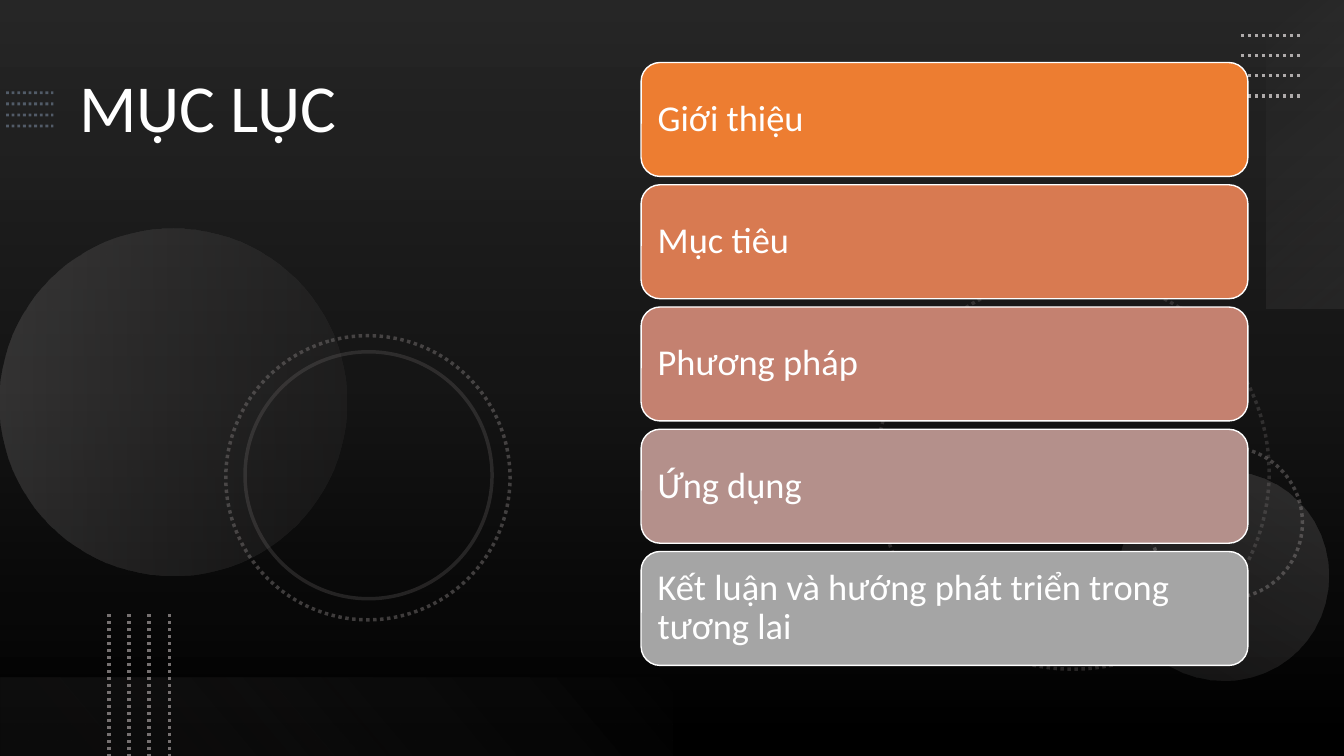
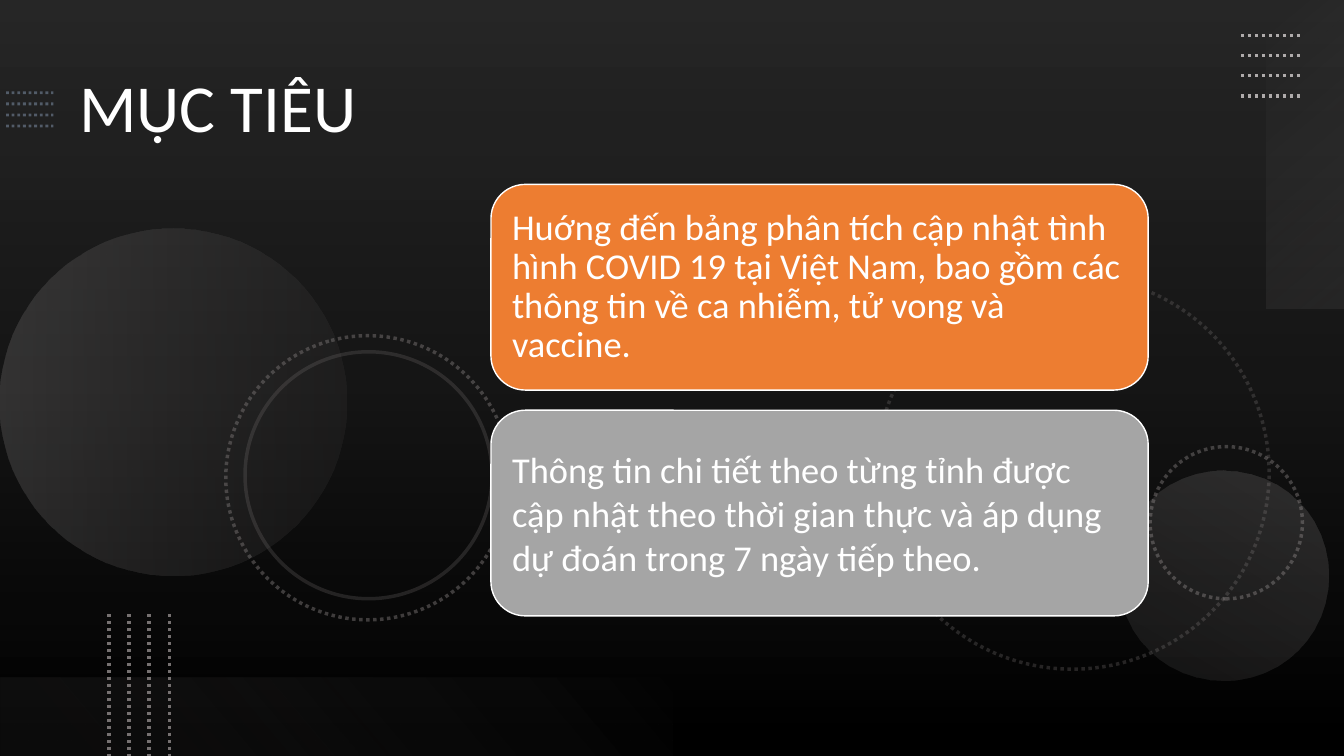
from lxml import etree
from pptx import Presentation
from pptx.dml.color import RGBColor
from pptx.enum.dml import MSO_LINE
from pptx.enum.shapes import MSO_CONNECTOR, MSO_SHAPE
from pptx.enum.text import MSO_ANCHOR, PP_ALIGN
from pptx.oxml.ns import qn
from pptx.util import Inches, Pt

deck = Presentation()
deck.slide_width, deck.slide_height = Inches(13.33), Inches(7.5)
# Grid: 100 columns by 100 rows
COL, ROW = deck.slide_width / 100, deck.slide_height / 100

FONT = "Calibri"
WHITE, BLACK, ORANGE, SILVER = "FFFFFF", "000000", "ED7D31", "A5A5A5"
GREY, LIGHT_GREY, SLATE = "767171", "AFABAB", "8497B0"


def paint(props, *stops, angle=0):
    """Replace a solid fill by (position, colour, opacity) stops; one stop stays solid."""
    old = props.find(qn("a:solidFill"))
    fill = etree.Element(qn("a:gradFill" if len(stops) > 1 else "a:solidFill"))
    parent = fill
    if len(stops) > 1:
        fill.set("rotWithShape", "1")
        parent = etree.SubElement(fill, qn("a:gsLst"))
    for position, colour, opacity in stops:
        holder = parent
        if len(stops) > 1:
            holder = etree.SubElement(parent, qn("a:gs"), pos=str(position * 1000))
        tint = etree.SubElement(holder, qn("a:srgbClr"), val=colour)
        if opacity < 100:
            etree.SubElement(tint, qn("a:alpha"), val=str(opacity * 1000))
    if len(stops) > 1:
        etree.SubElement(fill, qn("a:lin"), ang=str(angle * 60000), scaled="0")
    props.replace(old, fill)


def add_block(slide, kind, box, stops=(), angle=0, turn=0, edge=None):
    """Add a shape on the grid; edge is (colour, opacity, width, dotted)."""
    left, top, width, height = box
    block = slide.shapes.add_shape(
        kind, round(left * COL), round(top * ROW), round(width * COL), round(height * ROW))
    block.shadow.inherit = False
    block.rotation = turn
    if stops:
        block.fill.solid()
        paint(block.element.spPr, *stops, angle=angle)
    else:
        block.fill.background()
    if edge:
        colour, opacity, points, dotted = edge
        block.line.fill.solid()
        block.line.width = Pt(points)
        if dotted:
            block.line.dash_style = MSO_LINE.ROUND_DOT
        paint(block.element.spPr.find(qn("a:ln")), (0, colour, opacity))
    else:
        block.line.fill.background()
    return block


# Circles: left, top, diameter in columns, rotation, gradient, edge
circles = [
    (65.18, 36.53, 29.25, 75, (), (GREY, 30, 2.5, True)),
    (85.58, 59.07, 11.33, 270, (), (GREY, 50, 2.5, True)),
    (0, 30.27, 25.8, 270, ((0, LIGHT_GREY, 20), (100, GREY, 10)), None),
    (83.25, 62.27, 15.6, 210, ((0, LIGHT_GREY, 10), (100, LIGHT_GREY, 20)), None),
    (16.8, 44.4, 21.15, 75, (), (GREY, 50, 2.5, True)),
    (18.23, 46.53, 18.38, 75, (), (GREY, 25, 2.5, False)),
]

# Dotted rules, four to a group: first line, step to the next, colour, opacity, width
dotted_rules = [
    ((0.45, 12.27, 3.98, 12.27), (0, 1.47), SLATE, 50, 2),
    ((92.33, 4.67, 96.83, 4.67), (0, 2.67), LIGHT_GREY, 100, 2.5),
    ((8.1, 81.2, 8.1, 100), (1.5, 0), GREY, 100, 2.5),
]

# Slides: title, first panel, pitch in rows, panels as (text, colour, line spacing)
slides = [
    ("MỤC LỤC", (47.7, 8.27, 45.15, 15.07), 16.17, [
        ("Giới thiệu", ORANGE, 0.9),
        ("Mục tiêu", "D87A51", 0.9),
        ("Phương pháp", "C48170", 0.9),
        ("Ứng dụng", "B4908B", 0.9),
        ("Kết luận và hướng phát triển trong tương lai", SILVER, 0.9),
    ]),
    ("MỤC TIÊU", (36.53, 24.4, 48.9, 27.2), 29.87, [
        ("Huớng đến bảng phân tích cập nhật tình hình COVID 19 tại Việt Nam, "
         "bao gồm các thông tin về ca nhiễm, tử vong và vaccine.", ORANGE, 0.9),
        ("Thông tin chi tiết theo từng tỉnh được cập nhật theo thời gian thực "
         "và áp dụng dự đoán trong 7 ngày tiếp theo.", SILVER, 1.0),
    ]),
]

for title, (left, top, width, height), pitch, panels in slides:
    slide = deck.slides.add_slide(deck.slide_layouts[6])

    # Background and dark veil
    slide.background.fill.solid()
    paint(slide.element.find(".//" + qn("p:bgPr")),
          (0, "515151", 100), (50, "2E2E2E", 100), (100, BLACK, 100), angle=90)
    add_block(slide, MSO_SHAPE.RECTANGLE, (0, 0, 100, 100), [(0, BLACK, 53)])

    # Circles
    for x, y, diameter, turn, stops, edge in circles:
        add_block(slide, MSO_SHAPE.OVAL, (x, y, diameter, diameter * COL / ROW),
                  stops, 90, turn, edge)

    # Corner bands
    add_block(slide, MSO_SHAPE.RECTANGLE, (85.65, 15.2, 22.95, 10.4),
              [(0, "F5F5F5", 0), (100, LIGHT_GREY, 10)], 140, 270)
    add_block(slide, MSO_SHAPE.RECTANGLE, (0, 89.6, 50, 10.4),
              [(10, GREY, 10), (100, "F1F0F0", 0)], 140, 180)

    # Dotted rules
    for (x1, y1, x2, y2), (dx, dy), colour, opacity, points in dotted_rules:
        for i in range(4):
            rule = slide.shapes.add_connector(
                MSO_CONNECTOR.STRAIGHT,
                round((x1 + i * dx) * COL), round((y1 + i * dy) * ROW),
                round((x2 + i * dx) * COL), round((y2 + i * dy) * ROW))
            rule.line.fill.solid()
            rule.line.width = Pt(points)
            rule.line.dash_style = MSO_LINE.ROUND_DOT
            paint(rule.element.spPr.find(qn("a:ln")), (0, colour, opacity))
            etree.SubElement(rule.element.spPr, qn("a:effectLst"))

    # Title
    heading = slide.shapes.add_textbox(
        round(5.18 * COL), round(9.2 * ROW), round(40.58 * COL), round(80.4 * ROW))
    heading.text_frame.text = title
    written = [(heading, 48, 0.9)]

    # Panels
    for i, (text, colour, spacing) in enumerate(panels):
        panel = add_block(slide, MSO_SHAPE.ROUNDED_RECTANGLE,
                          (left, top + i * pitch, width, height),
                          [(0, colour, 100)], edge=(WHITE, 100, 1, False))
        frame = panel.text_frame
        frame.text = text
        frame.vertical_anchor = MSO_ANCHOR.MIDDLE
        frame.margin_left = frame.margin_right = Inches(0.11)
        frame.margin_top = frame.margin_bottom = Inches(0.11)
        written.append((panel, 26, spacing))

    # Text style
    for holder, size, spacing in written:
        holder.text_frame.word_wrap = True
        paragraph = holder.text_frame.paragraphs[0]
        paragraph.alignment = PP_ALIGN.LEFT
        paragraph.line_spacing = spacing
        paragraph.font.name = FONT
        paragraph.font.size = Pt(size)
        paragraph.font.color.rgb = RGBColor.from_string(WHITE)

deck.save("out.pptx")
